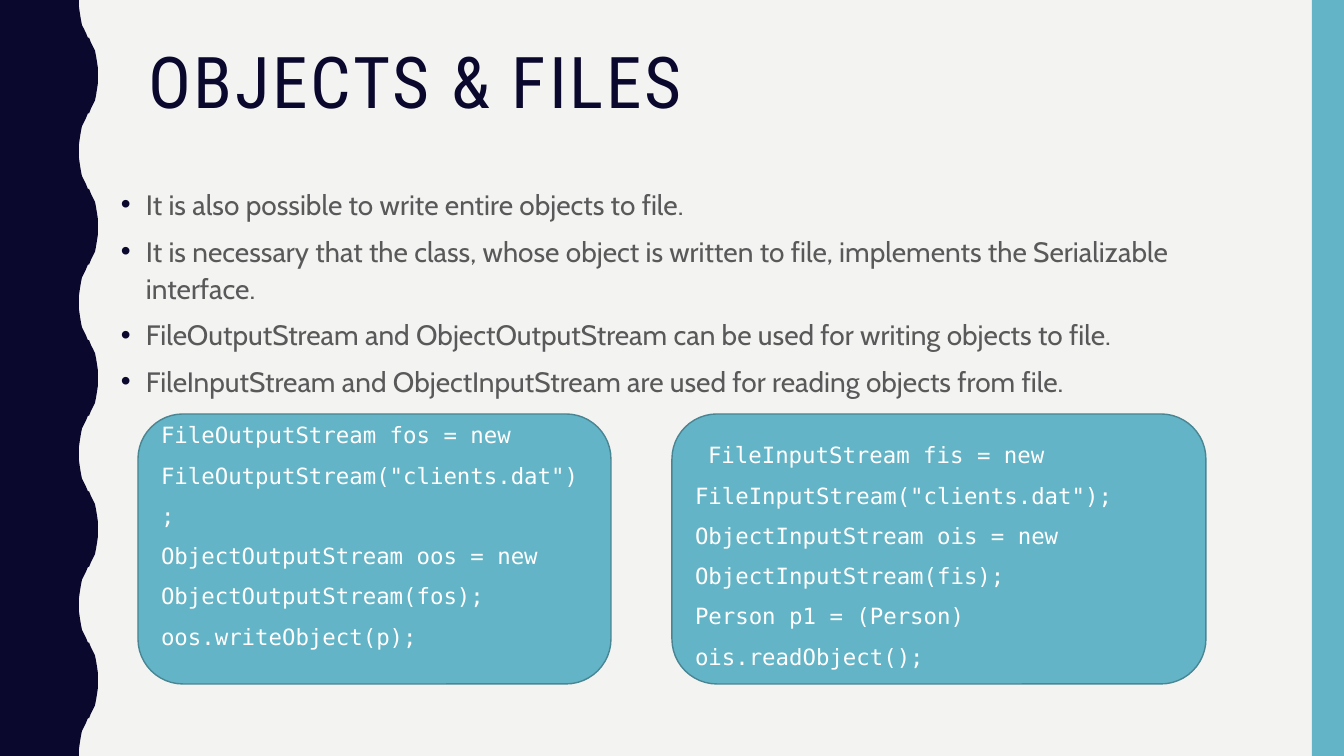
from pptx import Presentation
from pptx import util as u
from pptx.dml.color import RGBColor
from pptx.enum import shapes, text
from pptx.oxml import parse_xml
from pptx.oxml.ns import nsdecls

W, H = 1344, 756
NAVY, TEAL, EDGE = "0B082E", "62B4C6", "498592"
PAPER, GREY, WHITE = "F3F3F2", "595959", "FFFFFF"

POINTS = [
    "It is also possible to write entire objects to file.",
    "It is necessary that the class, whose object is written to file, "
    "implements the Serializable interface.",
    "FileOutputStream and ObjectOutputStream can be used for writing objects to file.",
    "FileInputStream and ObjectInputStream are used for reading objects from file.",
]
WRITE = [
    'FileOutputStream fos = new FileOutputStream("clients.dat");',
    "ObjectOutputStream oos = new ObjectOutputStream(fos);",
    "oos.writeObject(p);",
]
READ = [
    'FileInputStream fis = new FileInputStream("clients.dat");',
    "ObjectInputStream ois = new ObjectInputStream(fis);",
    "Person p1 = (Person) ois.readObject();",
]


def px(n):
    return u.Emu(round(n * 914400 / 100.8))


def rgb(code):
    return RGBColor.from_string(code)


def paint(shape, fill, line=None):
    shape.shadow.inherit = False
    shape.fill.solid()
    shape.fill.fore_color.rgb = rgb(fill)
    if line:
        shape.line.color.rgb = rgb(line)
        shape.line.width = u.Pt(1)
    else:
        shape.line.fill.background()


def add_run(para, words, size, font, color):
    run = para.add_run()
    run.text = words
    run.font.size = u.Pt(size)
    run.font.name = font
    run.font.color.rgb = rgb(color)
    return run


def paras(frame, lines):
    """Yield a left-aligned paragraph with each line of text."""
    for i, line in enumerate(lines):
        para = frame.add_paragraph() if i else frame.paragraphs[0]
        para.alignment = text.PP_ALIGN.LEFT
        yield para, line


def add_wave(slide, left, low, high, count):
    """Fill the left edge up to a wavy border of count periods."""
    step = H / count
    curve = [(0, 0), (0, 7), (1, 14), (2, 20), (3, 25), (5, 29), (7, 33), (9, 38)]
    rise = curve + [(high - low - x, step / 2 - y) for x, y in reversed(curve)]
    wave = rise + [(x, step - y) for x, y in reversed(rise)]
    edge = [(low + x, y + k * step) for k in range(count) for x, y in wave]
    build = slide.shapes.build_freeform(px(left), 0)
    build.add_line_segments([(px(x), px(y)) for x, y in edge + [(left, H)]])
    paint(build.convert_to_shape(), NAVY)


def add_bar(slide, left):
    bar = slide.shapes.add_shape(
        shapes.MSO_SHAPE.RECTANGLE, px(left), 0, px(W - left), px(H))
    paint(bar, TEAL)


def add_title(slide, box, words):
    title = slide.shapes.title
    title.left, title.top, title.width, title.height = map(px, box)
    frame = title.text_frame
    frame.word_wrap = True
    frame.auto_size = text.MSO_AUTO_SIZE.NONE
    frame.vertical_anchor = text.MSO_ANCHOR.TOP
    for para, line in paras(frame, [words]):
        para.line_spacing = 0.9
        run = add_run(para, line, 51, "Roboto Condensed", NAVY)
        run.font._element.set("spc", "200")


def add_bullets(slide, box, lines):
    frame = slide.shapes.add_textbox(*map(px, box)).text_frame
    frame.word_wrap = True
    for para, line in paras(frame, lines):
        para.line_spacing = 1.1
        para.space_before = u.Pt(7)
        props = para._p.get_or_add_pPr()
        props.set("marL", str(px(25)))
        props.set("indent", str(-px(25)))
        ns = nsdecls("a")
        for tag in (f'<a:buClr {ns}><a:srgbClr val="{NAVY}"/></a:buClr>',
                    f'<a:buFont {ns} typeface="Arial"/>',
                    f'<a:buChar {ns} char="•"/>'):
            props.append(parse_xml(tag))
        add_run(para, line, 20, "Cabin", GREY)


def add_code(slide, box, lines, indent=0, foot=5):
    """Place a rounded code panel; foot is its bottom inset."""
    panel = slide.shapes.add_shape(
        shapes.MSO_SHAPE.ROUNDED_RECTANGLE, *map(px, box))
    paint(panel, TEAL, EDGE)
    frame = panel.text_frame
    frame.word_wrap = True
    frame.vertical_anchor = text.MSO_ANCHOR.MIDDLE
    frame.margin_bottom = px(foot)
    for para, line in paras(frame, lines):
        para.line_spacing = 1.5
        add_run(para, line, 16, "DejaVu Sans Mono", WHITE)
    if indent:
        frame.paragraphs[0]._p.get_or_add_pPr().set("indent", str(px(indent)))


def main():
    deck = Presentation()
    deck.slide_width, deck.slide_height = px(W), px(H)
    slide = deck.slides.add_slide(deck.slide_layouts[5])
    slide.background.fill.solid()
    slide.background.fill.fore_color.rgb = rgb(PAPER)
    add_wave(slide, 0, 79, 98, 5)
    add_bar(slide, 1312)
    add_title(slide, (138, 42, 1122, 164), "OBJECTS & FILES")
    add_bullets(slide, (111, 179, 1122, 396), POINTS)
    add_code(slide, (138, 414, 473, 270), WRITE, foot=45)
    add_code(slide, (672, 414, 534, 270), READ, indent=13)
    deck.save("out.pptx")


if __name__ == "__main__":
    main()
